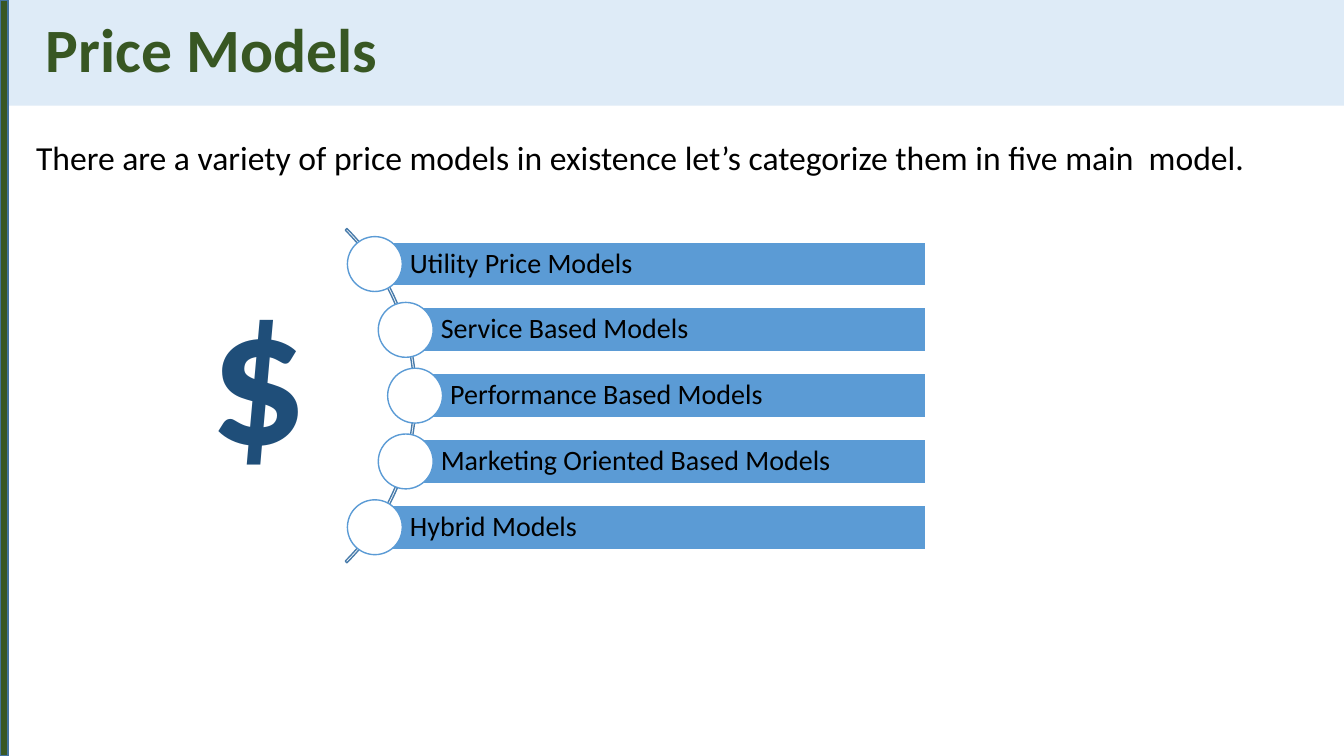
import math

from pptx import Presentation
from pptx.dml.color import RGBColor
from pptx.enum.shapes import MSO_SHAPE
from pptx.enum.text import MSO_ANCHOR, PP_ALIGN
from pptx.util import Pt

RECTANGLE, OVAL, BLOCK_ARC = MSO_SHAPE.RECTANGLE, MSO_SHAPE.OVAL, MSO_SHAPE.BLOCK_ARC
MIDDLE, TOP = MSO_ANCHOR.MIDDLE, MSO_ANCHOR.TOP
LEFT, CENTER = PP_ALIGN.LEFT, PP_ALIGN.CENTER

WIDTH, HEIGHT = 960, 540
STRIP_WIDTH = 5.8
ARC_X, ARC_Y, ARC_RADIUS = 128.5, 282.6, 168.8
NODE_RADIUS, NODE_SIZE = 168, 39.2
ROW_PITCH, BAR_HEIGHT, BARS_RIGHT = 47, 31.6, 661.4
MODELS = [
    "Utility Price Models",
    "Service Based Models",
    "Performance Based Models",
    "Marketing Oriented Based Models",
    "Hybrid Models",
]


def color(value):
    return RGBColor.from_string(value)


class PriceSlide:
    """Hold the text style and the current slide, and add elements to it."""

    font_name = "Calibri"
    black, white, blue = "000000", "FFFFFF", "5B9BD5"
    green, navy, pale = "385723", "1F4E79", "DEEBF7"
    arc_line, strip_line = "497CAB", "43739E"

    def __init__(self, deck):
        self.slide = deck.slides.add_slide(deck.slide_layouts[5])

    def set_text(self, shape, text, size, ink, bold=False, align=LEFT, anchor=TOP,
                 spacing=1.0, insets=(7.2, 3.6, 7.2, 3.6)):
        frame = shape.text_frame
        frame.text = text
        sides = ("margin_left", "margin_top", "margin_right", "margin_bottom")
        frame_format = dict(zip(sides, map(Pt, insets)))
        frame_format.update(word_wrap=True, vertical_anchor=anchor)
        paragraph = frame.paragraphs[0]
        font = paragraph.runs[0].font
        formats = [
            (frame, frame_format),
            (paragraph, {"alignment": align, "line_spacing": spacing}),
            (font, {"name": self.font_name, "size": Pt(size), "bold": bold}),
        ]
        for target, values in formats:
            for key, value in values.items():
                setattr(target, key, value)
        font.color.rgb = color(ink)

    def title(self, text, left, top, width, height):
        heading = self.slide.shapes.title
        box = {"left": left, "top": top, "width": width, "height": height}
        for key, value in box.items():
            setattr(heading, key, Pt(value))
        heading.fill.solid()
        heading.fill.fore_color.rgb = color(self.pale)
        self.set_text(heading, text, 44, self.green, bold=True, anchor=MIDDLE,
                      spacing=0.9, insets=(27, 3.6, 7.2, 3.6))

    def shape(self, kind, left, top, width, height, fill, line):
        shape = self.slide.shapes.add_shape(kind, Pt(left), Pt(top), Pt(width), Pt(height))
        shape.shadow.inherit = False
        if fill:
            shape.fill.solid()
            shape.fill.fore_color.rgb = color(fill)
        else:
            shape.fill.background()
        shape.line.color.rgb = color(line)
        shape.line.width = Pt(1)
        return shape

    def label(self, text, left, top, width, height, size, ink, **style):
        box = self.slide.shapes.add_textbox(Pt(left), Pt(top), Pt(width), Pt(height))
        self.set_text(box, text, size, ink, **style)

    def arc(self, center_x, center_y, radius):
        curve = self.shape(BLOCK_ARC, center_x - radius, center_y - radius,
                           2 * radius, 2 * radius, None, self.arc_line)
        for index, value in enumerate((189, 27, 0.005)):
            curve.adjustments[index] = value

    def model(self, text, x, y):
        bar = self.shape(RECTANGLE, x, y - BAR_HEIGHT / 2, BARS_RIGHT - x, BAR_HEIGHT,
                         self.blue, self.white)
        self.set_text(bar, text, 20, self.black, anchor=MIDDLE, spacing=0.9,
                      insets=(25.1, 4, 4, 4))
        self.shape(OVAL, x - NODE_SIZE / 2, y - NODE_SIZE / 2, NODE_SIZE, NODE_SIZE,
                   self.white, self.blue)


def main():
    deck = Presentation()
    deck.slide_width, deck.slide_height = Pt(WIDTH), Pt(HEIGHT)
    page = PriceSlide(deck)
    page.title("Price Models", STRIP_WIDTH, 0, WIDTH - STRIP_WIDTH, 75.5)
    page.arc(ARC_X, ARC_Y, ARC_RADIUS)
    for row, model in enumerate(MODELS):
        rise = (row - len(MODELS) // 2) * ROW_PITCH
        page.model(model, ARC_X + math.sqrt(NODE_RADIUS**2 - rise**2), ARC_Y + rise)
    page.label("$", 99.4, 175.7, 170.6, 174, 138, page.navy, bold=True, align=CENTER)
    page.label("There are a variety of price models in existence let’s categorize them "
               "in five main  model.", 18.7, 94.3, 905, 36, 24, page.black)
    page.shape(RECTANGLE, 0, 0, STRIP_WIDTH, HEIGHT, page.green, page.strip_line)
    deck.save("out.pptx")


if __name__ == "__main__":
    main()
